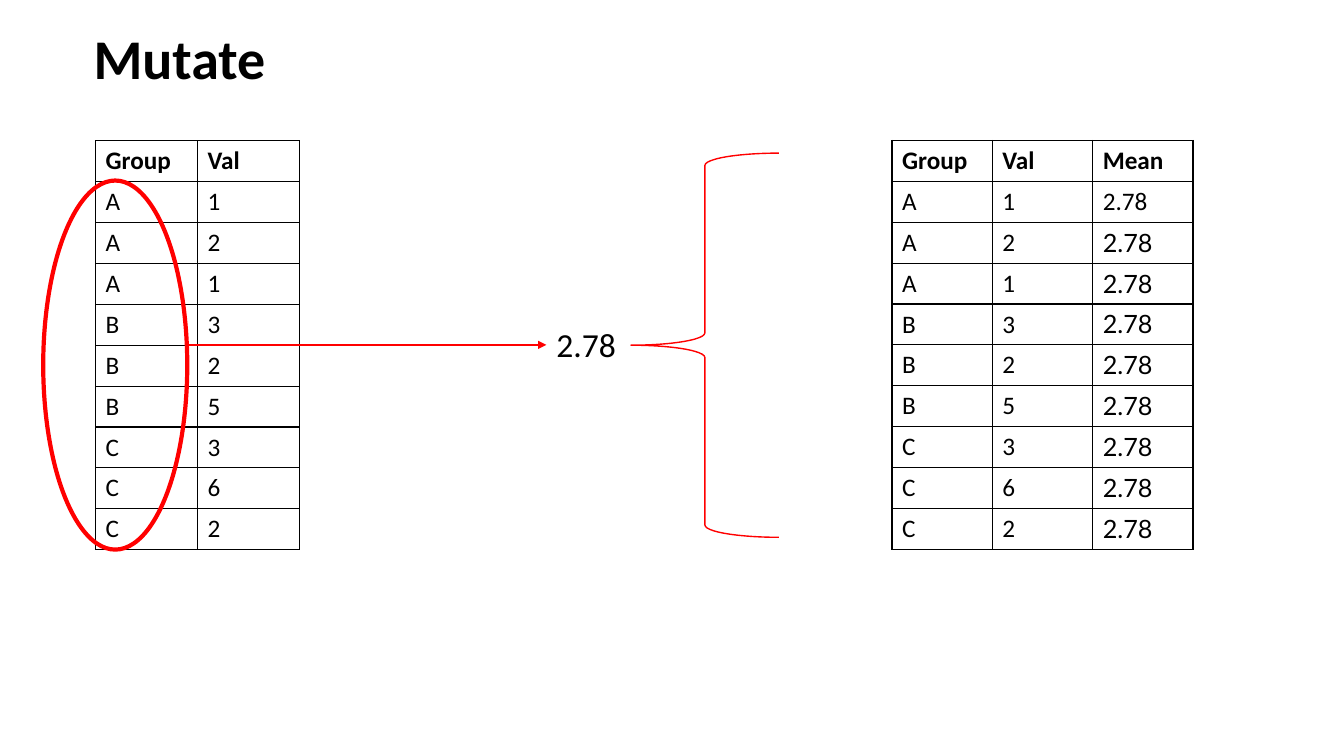
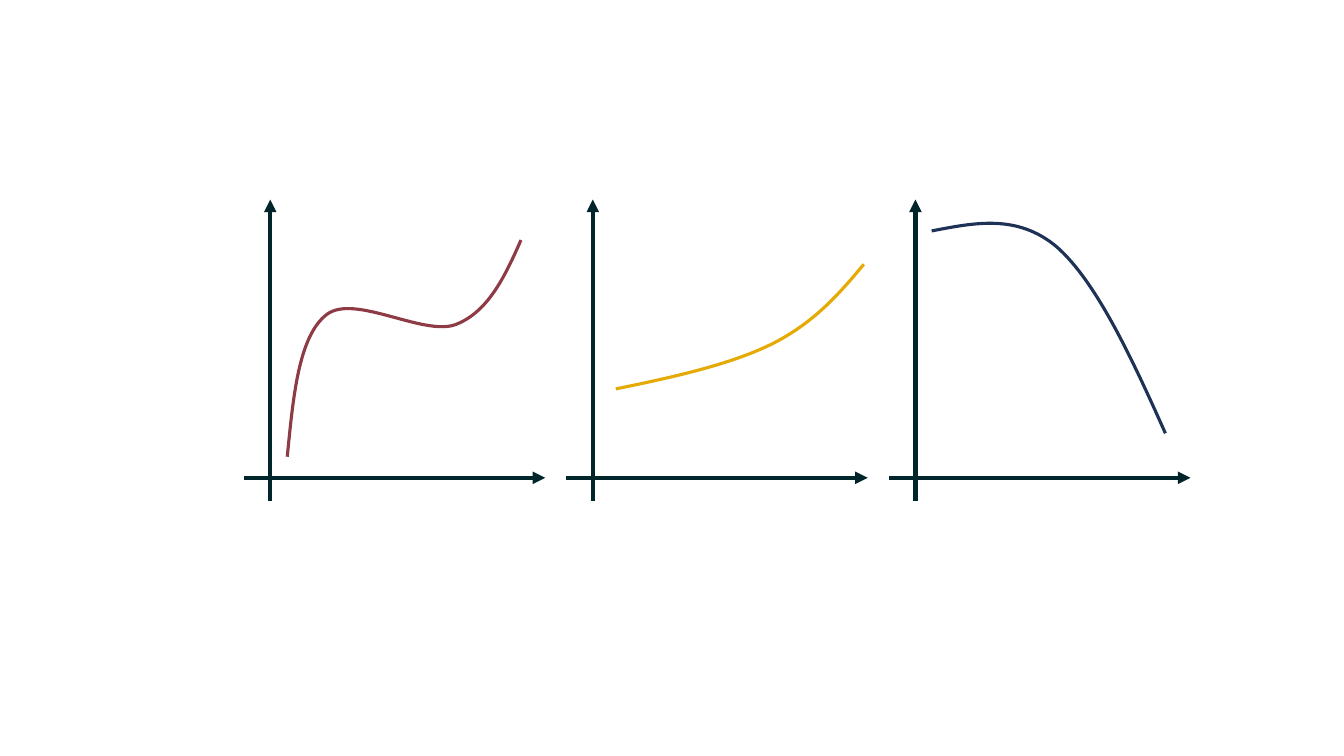
from lxml import etree
from pptx import Presentation
from pptx.dml.color import RGBColor
from pptx.enum import shapes, text
from pptx.oxml.ns import qn
from pptx.util import Cm, Pt

BLACK = RGBColor(0x00, 0x00, 0x00)
RED = RGBColor(0xFF, 0x00, 0x00)
AXIS = RGBColor(0x00, 0x25, 0x2A)
MAROON = RGBColor(0x8E, 0x3B, 0x46)
AMBER = RGBColor(0xE6, 0xAA, 0x04)
NAVY = RGBColor(0x1E, 0x32, 0x56)
BODY_FONT, MEAN_FONT = "Calibri", "Lato"


class Deck:
    """Holds the style, the current slide and the place new shapes go to."""

    def __init__(self):
        self.prs = Presentation()
        self.prs.slide_width, self.prs.slide_height = Cm(33.87), Cm(19.05)

    def new_slide(self):
        self.slide = self.prs.slides.add_slide(self.prs.slide_layouts[6])
        self.shapes = self.slide.shapes

    def start_group(self):
        self.shapes = self.slide.shapes.add_group_shape().shapes

    def style_text(self, p, size, bold=False, font=BODY_FONT):
        p.font.name, p.font.size, p.font.bold = font, Pt(size), bold
        p.font.color.rgb = BLACK

    def text_box(self, content, x, y, w, h, size, bold=False):
        sp = self.shapes.add_textbox(Cm(x), Cm(y), Cm(w), Cm(h))
        tf = sp.text_frame
        tf.word_wrap = True
        tf.auto_size = text.MSO_AUTO_SIZE.SHAPE_TO_FIT_TEXT
        tf.text = content
        self.style_text(tf.paragraphs[0], size, bold)
        return sp

    def title(self, content):
        return self.text_box(content, 2.11, 0.48, 8.03, 1.96, 40, bold=True)

    def outline(self, sp, color, width):
        sp.shadow.inherit = False
        sp.fill.background()
        sp.line.color.rgb, sp.line.width = color, Pt(width)

    def shape(self, kind, x, y, w, h, color, width):
        sp = self.shapes.add_shape(kind, Cm(x), Cm(y), Cm(w), Cm(h))
        self.outline(sp, color, width)
        return sp

    def arrow(self, x1, y1, x2, y2, color, width):
        line = self.shapes.add_connector(
            shapes.MSO_CONNECTOR.STRAIGHT, Cm(x1), Cm(y1), Cm(x2), Cm(y2))
        line.line.color.rgb, line.line.width = color, Pt(width)
        sp_pr = line.element.spPr
        etree.SubElement(sp_pr.find(qn("a:ln")), qn("a:tailEnd"), type="triangle")
        etree.SubElement(sp_pr, qn("a:effectLst"))
        return line

    def curve(self, points, color, width):
        """Draw Bezier pieces: a start point, then three points a piece."""
        start, *rest = [(Cm(x), Cm(y)) for x, y in points]
        builder = self.shapes.build_freeform(*start)
        builder.add_line_segments(rest, close=False)
        sp = builder.convert_to_shape()
        self.outline(sp, color, width)
        track = sp.element.find(".//" + qn("a:path"))
        steps = track.findall(qn("a:lnTo"))
        for i in range(0, len(steps), 3):
            piece = etree.SubElement(track, qn("a:cubicBezTo"))
            for step in steps[i:i + 3]:
                piece.append(step[0])
                track.remove(step)
        return sp

    def cell_borders(self, cell):
        tc_pr = cell._tc.get_or_add_tcPr()
        for side in ("a:lnL", "a:lnR", "a:lnT", "a:lnB"):
            ln = etree.SubElement(tc_pr, qn(side), w=str(Pt(1)))
            fill = etree.SubElement(ln, qn("a:solidFill"))
            etree.SubElement(fill, qn("a:srgbClr"), val=str(BLACK))

    def table(self, rows, x, y, col_width, row_height):
        n_rows, n_cols = len(rows), len(rows[0])
        table = self.shapes.add_table(
            n_rows, n_cols, Cm(x), Cm(y),
            Cm(col_width * n_cols), Cm(row_height * n_rows)).table
        table.horz_banding = False
        for col in table.columns:
            col.width = Cm(col_width)
        for i, row in enumerate(rows):
            table.rows[i].height = Cm(row_height)
            for j, value in enumerate(row):
                cell = table.cell(i, j)
                cell.text = value
                # Means below the first data row use the second font
                font = MEAN_FONT if j == 2 and i > 1 else BODY_FONT
                self.style_text(cell.text_frame.paragraphs[0], 18, i == 0, font)
                self.cell_borders(cell)
                cell.fill.background()
        return table


def mutate_slide(deck):
    deck.new_slide()
    mean = "2.78"
    data = list(zip("AAABBBCCC", "121325362"))

    # Tables before and after
    deck.table([("Group", "Val"), *data], 2.41, 3.55, 2.57, 1.03)
    deck.table([("Group", "Val", "Mean"), *[(*row, mean) for row in data]],
               22.48, 3.54, 2.53, 1.03)

    # Values gathered into one mean, then spread over all rows
    mean_box = deck.text_box(mean, 13.77, 8.05, 2.49, 1.28, 24)
    deck.shape(shapes.MSO_SHAPE.OVAL, 1.09, 4.55, 3.63, 9.3, RED, 3)
    deck.arrow(4.72, 8.69, 13.77, 8.69, RED, 1).end_connect(mean_box, 1)
    deck.shape(shapes.MSO_SHAPE.LEFT_BRACE, 15.9, 3.86, 3.73, 9.68, RED, 1)
    deck.title("Mutate")


def curves_slide(deck):
    deck.new_slide()
    deck.start_group()
    first_x, step, base_y = 6.81, 8.13, 12.04

    # Curve points in cm right of and above each plot's origin
    plots = [
        (MAROON, [(0.43, 0.53), (0.58, 2.03), (0.71, 3.56), (1.42, 4.11),
                  (2.11, 4.65), (3.86, 3.56), (4.67, 3.86),
                  (5.49, 4.17), (5.92, 5.08), (6.32, 5.99)]),
        (AMBER, [(0.58, 2.24), (2.06, 2.54), (3.53, 2.87), (4.57, 3.4),
                 (5.61, 3.94), (6.22, 4.65), (6.83, 5.38)]),
        (NAVY, [(0.41, 6.22), (1.5, 6.43), (2.57, 6.65), (3.56, 5.82),
                (4.55, 4.95), (5.44, 3.05), (6.3, 1.12)]),
    ]
    for i, (color, points) in enumerate(plots):
        x = first_x + i * step
        deck.arrow(x, base_y + 0.58, x, base_y - 7.01, AXIS, 3)
        deck.arrow(x - 0.67, base_y, x + 6.93, base_y, AXIS, 3)
        deck.curve([(x + dx, base_y - dy) for dx, dy in points], color, 2.25)


def main():
    deck = Deck()
    mutate_slide(deck)
    curves_slide(deck)
    deck.prs.save("out.pptx")


if __name__ == "__main__":
    main()
